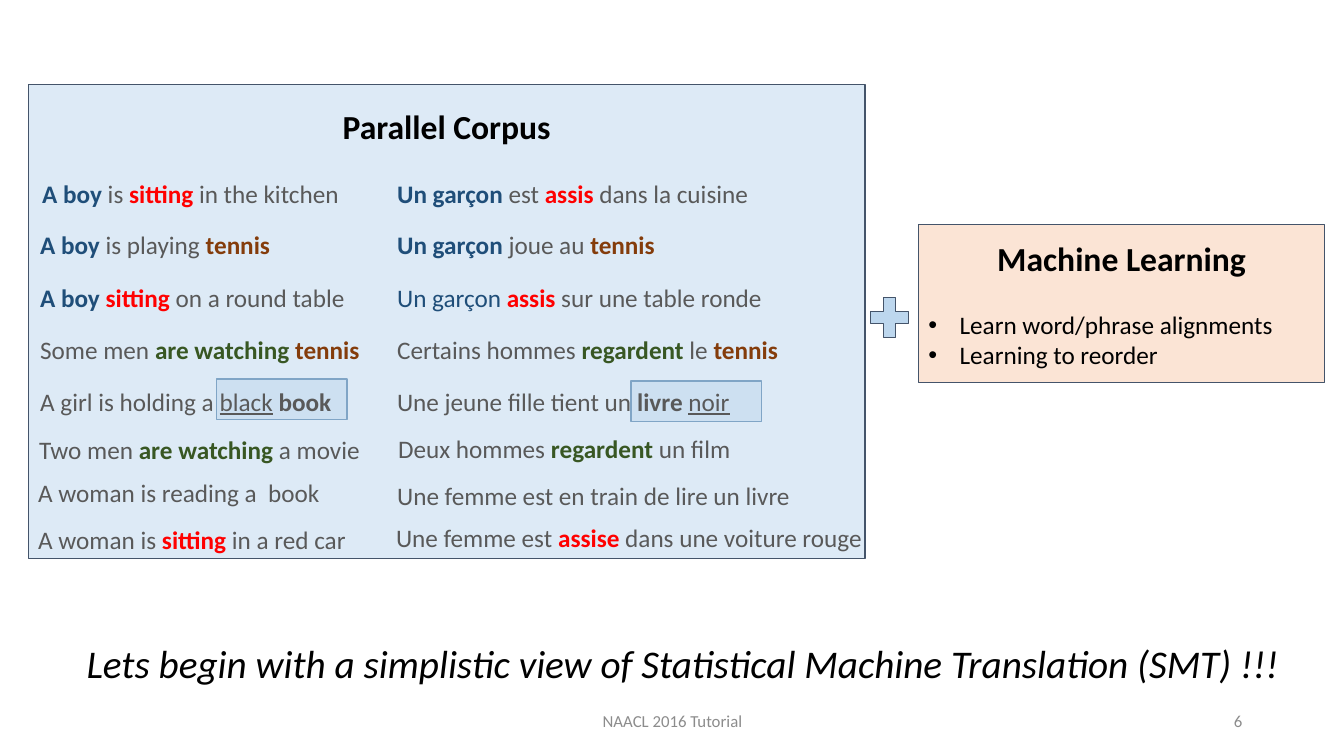
from typing import NamedTuple

from lxml.etree import SubElement
from pptx import Presentation
from pptx.dml.color import RGBColor
from pptx.enum.shapes import MSO_SHAPE as Preset
from pptx.enum.text import MSO_ANCHOR as Anchor, MSO_AUTO_SIZE as AutoSize, PP_ALIGN as Align
from pptx.oxml.ns import qn
from pptx.util import Inches, Pt

FONT = "Calibri"
BLACK, GREY, FOOTER_GREY = "000000", "595959", "8C8C8C"
BLUE, RED, BROWN, GREEN = "1F4E79", "FF0000", "843C0B", "385723"
SLATE = "44546A"


class Run(NamedTuple):
    text: str
    color: str = GREY
    bold: bool = False
    underline: bool = False


class Sentence(NamedTuple):
    left: float
    top: float
    width: float
    runs: list[Run]


class Box(NamedTuple):
    preset: Preset
    left: float
    top: float
    width: float
    height: float
    fill: str
    opacity: int
    line: str = SLATE
    line_width: float = 0.75


class Caption(NamedTuple):
    text: str
    left: float
    top: float
    width: float
    height: float
    size: int
    color: str
    align: Align
    anchor: Anchor
    wrap: bool = True
    italic: bool = False


def key(text: str, color: str) -> Run:
    """A bold word that is aligned across the two languages."""
    return Run(text, color, bold=True)


LEARNING = Box(Preset.RECTANGLE, 9.11, 2.23, 4.03, 1.57, "F8CBAD", 50)
PLUS = Box(Preset.MATH_PLUS, 8.57, 2.88, 0.51, 0.54, "BDD7EE", 100)
HIGHLIGHTS = [
    Box(Preset.RECTANGLE, left, top, 1.29, 0.4, "5B9BD5", 20, "43739E", 1)
    for left, top in [(2.15, 3.76), (6.26, 3.78)]
]
CORPUS = Box(Preset.RECTANGLE, 0.28, 0.84, 8.3, 4.7, "BDD7EE", 50)

SENTENCES = [
    Sentence(0.32, 1.72, 3.18, [key("A boy", BLUE), Run(" is "), key("sitting", RED),
                                Run(" in the kitchen")]),
    Sentence(3.84, 1.72, 3.69, [key("Un garçon ", BLUE), Run("est "), key("assis", RED),
                                Run(" dans la cuisine")]),
    Sentence(0.3, 2.23, 2.5, [key("A boy ", BLUE), Run("is playing "), key("tennis", BROWN)]),
    Sentence(3.84, 2.23, 2.76, [key("Un garçon ", BLUE), Run("joue au "), key("tennis", BROWN)]),
    Sentence(0.3, 2.75, 3.26, [key("A boy ", BLUE), key("sitting", RED),
                               Run(" on a round table")]),
    Sentence(3.84, 2.75, 3.85, [Run("Un garçon ", BLUE), key("assis", RED),
                                Run(" sur une table ronde")]),
    Sentence(0.3, 3.27, 3.4, [Run("Some men "), key("are watching ", GREEN),
                              key("tennis", BROWN)]),
    Sentence(3.84, 3.27, 3.99, [Run("Certains hommes "), key("regardent", GREEN), Run(" le "),
                                key("tennis", BROWN)]),
    Sentence(0.3, 3.78, 3.11, [Run("A girl is holding a "), Run("black", underline=True),
                               Run(" "), key("book", GREY)]),
    Sentence(3.84, 3.78, 3.53, [Run("Une jeune fille tient un "), key("livre ", GREY),
                                Run("noir", underline=True)]),
    Sentence(0.29, 4.26, 3.39, [Run("Two men "), key("are watching ", GREEN), Run("a movie")]),
    Sentence(3.85, 4.25, 3.52, [Run("Deux hommes "), key("regardent", GREEN), Run(" un film")]),
    Sentence(0.28, 4.69, 3.03, [Run("A woman is reading a  book")]),
    Sentence(3.84, 4.72, 4.15, [Run("Une femme est en train de lire un livre")]),
    Sentence(0.28, 5.15, 3.28, [Run("A woman is "), key("sitting", RED), Run(" in a red car")]),
    Sentence(3.83, 5.13, 4.86, [Run("Une femme est "), key("assise", RED),
                                Run(" dans une voiture rouge")]),
]

CAPTIONS = [
    Caption("Lets begin with a simplistic view of Statistical Machine Translation (SMT) !!!",
            0.76, 6.29, 12.15, 0.57, 28, BLACK, Align.LEFT, Anchor.TOP, wrap=False, italic=True),
    Caption("NAACL 2016 Tutorial", 4.42, 6.95, 4.5, 0.4, 12, FOOTER_GREY,
            Align.CENTER, Anchor.MIDDLE),
    Caption("6", 9.42, 6.95, 3, 0.4, 12, FOOTER_GREY, Align.RIGHT, Anchor.MIDDLE),
]


def rgb(color: str) -> RGBColor:
    return RGBColor.from_string(color)


def style_font(font, size: float, color: str, bold: bool = False, italic: bool = False) -> None:
    font.name, font.size = FONT, Pt(size)
    font.bold, font.italic = bold, italic
    font.color.rgb = rgb(color)


def add_box(slide, box: Box):
    shape = slide.shapes.add_shape(box.preset, Inches(box.left), Inches(box.top),
                                   Inches(box.width), Inches(box.height))
    shape.shadow.inherit = False
    shape.fill.solid()
    shape.fill.fore_color.rgb = rgb(box.fill)
    if box.opacity < 100:
        color = shape.fill._xPr.find(qn("a:solidFill"))[0]
        SubElement(color, qn("a:alpha"), val=str(box.opacity * 1000))
    shape.line.color.rgb = rgb(box.line)
    shape.line.width = Pt(box.line_width)
    return shape


def add_heading(shape, text: str, anchor: Anchor, inset_top: float):
    frame = shape.text_frame
    frame.word_wrap = True
    frame.vertical_anchor = anchor
    frame.margin_top = Inches(inset_top)
    frame.margin_left = frame.margin_right = frame.margin_bottom = Inches(0.1)
    paragraph = frame.paragraphs[0]
    paragraph.text = text
    paragraph.alignment = Align.CENTER
    style_font(paragraph.font, 24, BLACK, bold=True)
    return frame


def add_bullet(frame, text: str, space_before: float) -> None:
    paragraph = frame.add_paragraph()
    paragraph.text = text
    paragraph.alignment = Align.JUSTIFY
    paragraph.space_before = Pt(space_before)
    properties = paragraph._p.get_or_add_pPr()
    properties.set("marL", str(Inches(0.31)))
    properties.set("indent", str(Inches(-0.31)))
    SubElement(properties, qn("a:buFont"), typeface="Arial")
    SubElement(properties, qn("a:buChar"), char="•")
    style_font(paragraph.font, 18, BLACK)


def add_sentence(slide, sentence: Sentence) -> None:
    frame = slide.shapes.add_textbox(Inches(sentence.left), Inches(sentence.top),
                                     Inches(sentence.width), Inches(0.4)).text_frame
    frame.word_wrap = False
    frame.auto_size = AutoSize.SHAPE_TO_FIT_TEXT
    paragraph = frame.paragraphs[0]
    paragraph.font.name, paragraph.font.size = FONT, Pt(18)
    for part in sentence.runs:
        run = paragraph.add_run()
        run.text = part.text
        run.font.bold, run.font.underline = part.bold, part.underline
        run.font.color.rgb = rgb(part.color)


def add_caption(slide, caption: Caption) -> None:
    frame = slide.shapes.add_textbox(Inches(caption.left), Inches(caption.top),
                                     Inches(caption.width), Inches(caption.height)).text_frame
    frame.word_wrap = caption.wrap
    frame.vertical_anchor = caption.anchor
    paragraph = frame.paragraphs[0]
    paragraph.text = caption.text
    paragraph.alignment = caption.align
    style_font(paragraph.font, caption.size, caption.color, italic=caption.italic)


def main() -> None:
    presentation = Presentation()
    presentation.slide_width, presentation.slide_height = Inches(13.33), Inches(7.5)
    slide = presentation.slides.add_slide(presentation.slide_layouts[6])

    learning = add_heading(add_box(slide, LEARNING), "Machine Learning", Anchor.MIDDLE, 0.1)
    add_bullet(learning, "Learn word/phrase alignments", space_before=22)
    add_bullet(learning, "Learning to reorder", space_before=0)
    for box in [PLUS, *HIGHLIGHTS]:
        add_box(slide, box)
    add_heading(add_box(slide, CORPUS), "Parallel Corpus", Anchor.TOP, 0.21)
    for sentence in SENTENCES:
        add_sentence(slide, sentence)
    for caption in CAPTIONS:
        add_caption(slide, caption)
    presentation.save("out.pptx")


if __name__ == "__main__":
    main()
